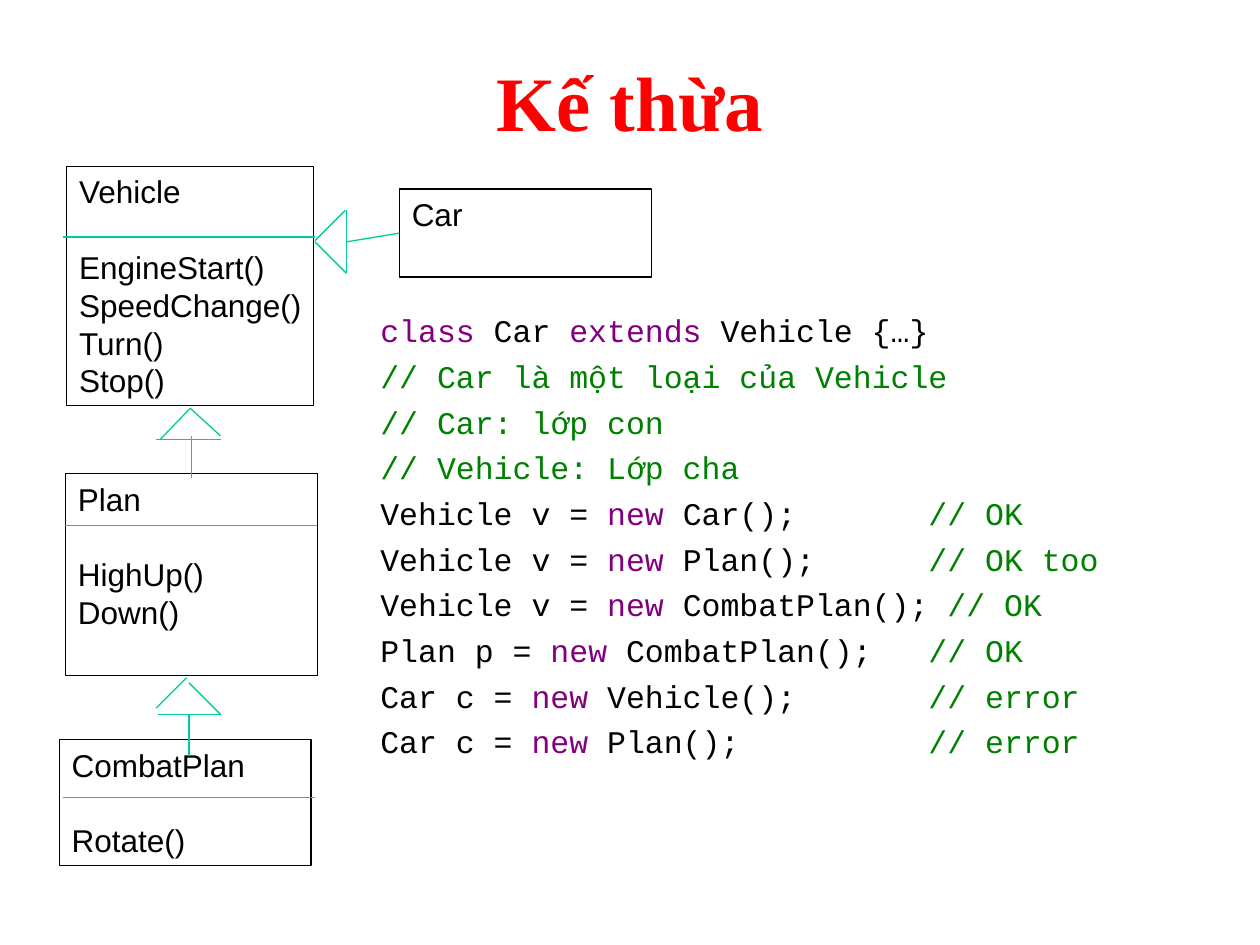
"""Build the inheritance slide: a class diagram beside a Java code sample."""
from lxml import etree
from pptx import Presentation
from pptx.dml.color import RGBColor
from pptx.enum.shapes import MSO_CONNECTOR, MSO_SHAPE
from pptx.enum.text import MSO_ANCHOR, PP_ALIGN
from pptx.oxml.ns import qn
from pptx.util import Inches, Pt

RECT, STRAIGHT = MSO_SHAPE.RECTANGLE, MSO_CONNECTOR.STRAIGHT
TOP, MIDDLE = MSO_ANCHOR.TOP, MSO_ANCHOR.MIDDLE
LEFT, CENTER = PP_ALIGN.LEFT, PP_ALIGN.CENTER
BLACK = RGBColor(0x00, 0x00, 0x00)
RED = RGBColor(0xFF, 0x00, 0x00)
PURPLE = RGBColor(0x80, 0x00, 0x80)
GREEN = RGBColor(0x00, 0x80, 0x00)
TEAL = RGBColor(0x00, 0xCC, 0x98)
LINE_PITCH = Pt(21.6)
COMMENT_TAB = Inches(4.35)

TITLE = "Kế thừa"
CLASSES = [
    ("Vehicle", ["EngineStart()", "SpeedChange()", "Turn()", "Stop()"], (0.53, 1.32, 1.96, 1.9)),
    ("Car", [], (3.17, 1.5, 2, 0.7)),
    ("Plan", ["HighUp()", "Down()"], (0.52, 3.76, 2, 1.6)),
    ("CombatPlan", ["Rotate()"], (0.47, 5.87, 2, 1)),
]
DIVIDERS = [(0.5, 1.88), (0.52, 4.17), (0.5, 6.33)]
DIVIDER_WIDTH = 2
CAR_STEM = (2.75, 1.92, 3.17, 1.85)
ARROWS = [
    (2.5, 1.92, 2.75, 2.17), (2.75, 1.67, 2.75, 2.17), (2.5, 1.91, 2.74, 1.67),
    (1.51, 3.24, 1.75, 3.46), (1.75, 3.49, 1.24, 3.49), (1.27, 3.49, 1.51, 3.24),
    (1.52, 3.46, 1.52, 3.79),
    (1.5, 5.42, 1.75, 5.67), (1.75, 5.67, 1.25, 5.67), (1.24, 5.62, 1.48, 5.38),
    (1.5, 5.67, 1.5, 6),
]
HEADER = [("class", PURPLE), (" Car ", BLACK), ("extends", PURPLE), (" Vehicle {…}", BLACK)]
REMARKS = ["// Car là một loại của Vehicle", "// Car: lớp con", "// Vehicle: Lớp cha"]
ASSIGNMENTS = [
    ("Vehicle v = ", " Car();\t", "// OK"),
    ("Vehicle v = ", " Plan();\t", "// OK too"),
    ("Vehicle v = ", " CombatPlan(); ", "// OK"),
    ("Plan p = ", " CombatPlan();\t", "// OK"),
    ("Car c = ", " Vehicle();\t", "// error"),
    ("Car c = ", " Plan();\t", "// error"),
]


def add_run(p, text, font, size, color, bold=False):
    r = p.add_run()
    r.text = text
    r.font.name, r.font.size, r.font.bold = font, Pt(size), bold
    r.font.color.rgb = color


def add_textbox(slide, box, anchor):
    tf = slide.shapes.add_textbox(*map(Inches, box)).text_frame
    tf.word_wrap, tf.vertical_anchor = True, anchor
    return tf


def add_class(slide, name, methods, box):
    sp = slide.shapes.add_shape(RECT, *map(Inches, box))
    sp.shadow.inherit = False
    sp.fill.background()
    sp.line.color.rgb, sp.line.width = BLACK, Pt(0.75)
    tf = sp.text_frame
    tf.word_wrap, tf.vertical_anchor = name != "Vehicle", TOP
    for i, text in enumerate([name] + methods):
        p = tf.add_paragraph() if i else tf.paragraphs[0]
        p.alignment, p.line_spacing = LEFT, LINE_PITCH
        if i == 1:
            p.space_before = LINE_PITCH
        add_run(p, text, "Arial", 18, BLACK)
    return sp


def add_line(slide, *ends):
    line = slide.shapes.add_connector(STRAIGHT, *map(Inches, ends))
    line.line.color.rgb, line.line.width = TEAL, Pt(0.75)
    etree.SubElement(line._element.spPr, qn("a:effectLst"))
    return line


def add_code(slide):
    lines = [HEADER] + [[(text, GREEN)] for text in REMARKS]
    lines += [[(target, BLACK), ("new", PURPLE), (call, BLACK), (note, GREEN)]
              for target, call, note in ASSIGNMENTS]
    tf = add_textbox(slide, (2.92, 2.42, 6.58, 4.75), TOP)
    for i, runs in enumerate(lines):
        p = tf.add_paragraph() if i else tf.paragraphs[0]
        p.line_spacing, p.space_before = LINE_PITCH, Pt(4.5)
        tabs = etree.SubElement(p._p.get_or_add_pPr(), qn("a:tabLst"))
        etree.SubElement(tabs, qn("a:tab"), pos=str(COMMENT_TAB), algn="l")
        for text, color in runs:
            add_run(p, text, "Courier New", 18, color)


def main():
    prs = Presentation()
    prs.slide_width, prs.slide_height = Inches(10), Inches(7.5)
    slide = prs.slides.add_slide(prs.slide_layouts[6])
    p = add_textbox(slide, (0.75, 0.17, 8.5, 1.25), MIDDLE).paragraphs[0]
    p.alignment = CENTER
    add_run(p, TITLE, "Times New Roman", 44, RED, bold=True)
    add_code(slide)
    boxes = {name: add_class(slide, name, methods, box) for name, methods, box in CLASSES}
    for x, y in DIVIDERS:
        add_line(slide, x, y, x + DIVIDER_WIDTH, y)
    add_line(slide, *CAR_STEM).end_connect(boxes["Car"], 1)
    for ends in ARROWS:
        add_line(slide, *ends)
    prs.save("out.pptx")


if __name__ == "__main__":
    main()
